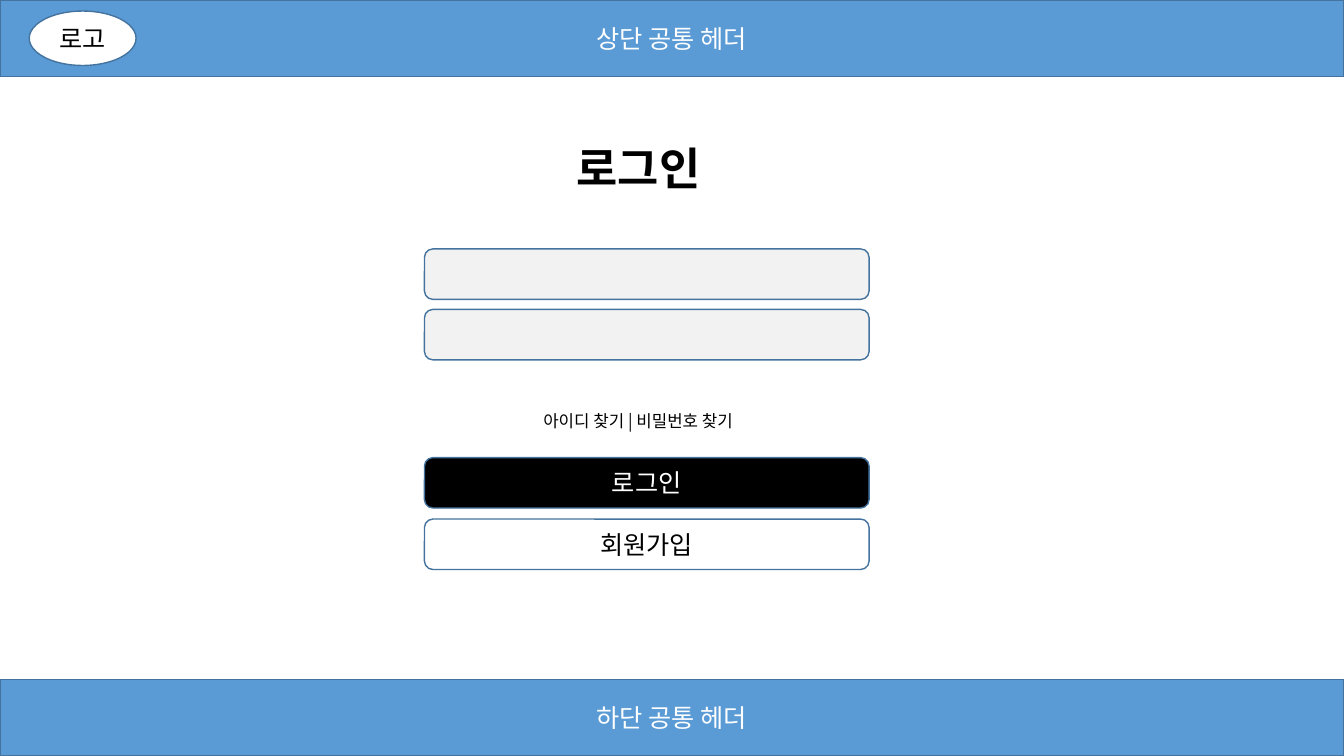
import pptx
import pptx.dml.color
import pptx.enum.shapes
import pptx.enum.text
import pptx.oxml.ns
import pptx.util
from lxml import etree

Inches = pptx.util.Inches
Pt = pptx.util.Pt
SHAPE = pptx.enum.shapes.MSO_SHAPE
ALIGN = pptx.enum.text.PP_ALIGN
FONT = "Noto Sans CJK KR"

# Content
TITLE = "로그인"
FIND_LINKS = "아이디 찾기 | 비밀번호 찾기"
LOGO_LABEL = "로고"
BANDS = [("상단 공통 헤더", 0), ("하단 공통 헤더", 6.74)]
INPUT_TOPS = [2.47, 3.07]
BUTTONS = [  # text, top, fill, text colour
    ("로그인", 4.54, "000000", "FFFFFF"),
    ("회원가입", 5.15, "FFFFFF", "000000"),
]

# Layout
SLIDE_W, SLIDE_H = 13.33, 7.5
BAND_H = 0.76
FORM_LEFT, FORM_W, ROW_H = 4.21, 4.41, 0.5


def rgb(value):
    return pptx.dml.color.RGBColor.from_string(value)


def write(sp, text, size, color, align, bold=False):
    tf = sp.text_frame
    frame_format = {
        "word_wrap": True,
        "auto_size": pptx.enum.text.MSO_AUTO_SIZE.NONE,
        "vertical_anchor": pptx.enum.text.MSO_ANCHOR.MIDDLE,
    }
    for name, value in frame_format.items():
        setattr(tf, name, value)
    p = tf.paragraphs[0]
    p.alignment = align
    r = p.add_run()
    r.text = text
    for name, value in {"name": FONT, "size": Pt(size), "bold": bold}.items():
        setattr(r.font, name, value)
    r.font.color.rgb = rgb(color)
    # Korean glyphs take the East Asian typeface
    ea = etree.SubElement(r._r.get_or_add_rPr(), pptx.oxml.ns.qn("a:ea"))
    ea.set("typeface", FONT)


def add_box(s, kind, box, fill):
    sp = s.shapes.add_shape(kind, *map(Inches, box))
    sp.shadow.inherit = False
    sp.fill.solid()
    sp.fill.fore_color.rgb = rgb(fill)
    sp.line.color.rgb = rgb("43739E")
    sp.line.width = Pt(1)
    return sp


def add_form_row(s, top, fill):
    return add_box(s, SHAPE.ROUNDED_RECTANGLE, (FORM_LEFT, top, FORM_W, ROW_H), fill)


def main():
    prs = pptx.Presentation()
    prs.slide_width, prs.slide_height = Inches(SLIDE_W), Inches(SLIDE_H)
    s = prs.slides.add_slide(prs.slide_layouts[5])

    # Title
    title = s.shapes.title
    place = {"left": 5.62, "top": 1.34, "width": 1.58, "height": 0.64}
    for name, value in place.items():
        setattr(title, name, Inches(value))
    write(title, TITLE, 32, "000000", ALIGN.LEFT, bold=True)

    # Input fields
    for top in INPUT_TOPS:
        add_form_row(s, top, "F2F2F2")

    # Account recovery links
    links = s.shapes.add_textbox(*map(Inches, (5.29, 4.02, 2.43, 0.3)))
    write(links, FIND_LINKS, 12, "000000", ALIGN.LEFT)

    # Buttons
    for text, top, fill, color in BUTTONS:
        write(add_form_row(s, top, fill), text, 18, color, ALIGN.CENTER)

    # Top and bottom bands, with the logo slot
    for text, top in BANDS:
        band = add_box(s, SHAPE.RECTANGLE, (0, top, SLIDE_W, BAND_H), "5B9BD5")
        write(band, text, 18, "FFFFFF", ALIGN.CENTER)
    logo = add_box(s, SHAPE.OVAL, (0.29, 0.11, 1.06, 0.54), "FFFFFF")
    write(logo, LOGO_LABEL, 18, "000000", ALIGN.CENTER)

    prs.save("out.pptx")


if __name__ == "__main__":
    main()
